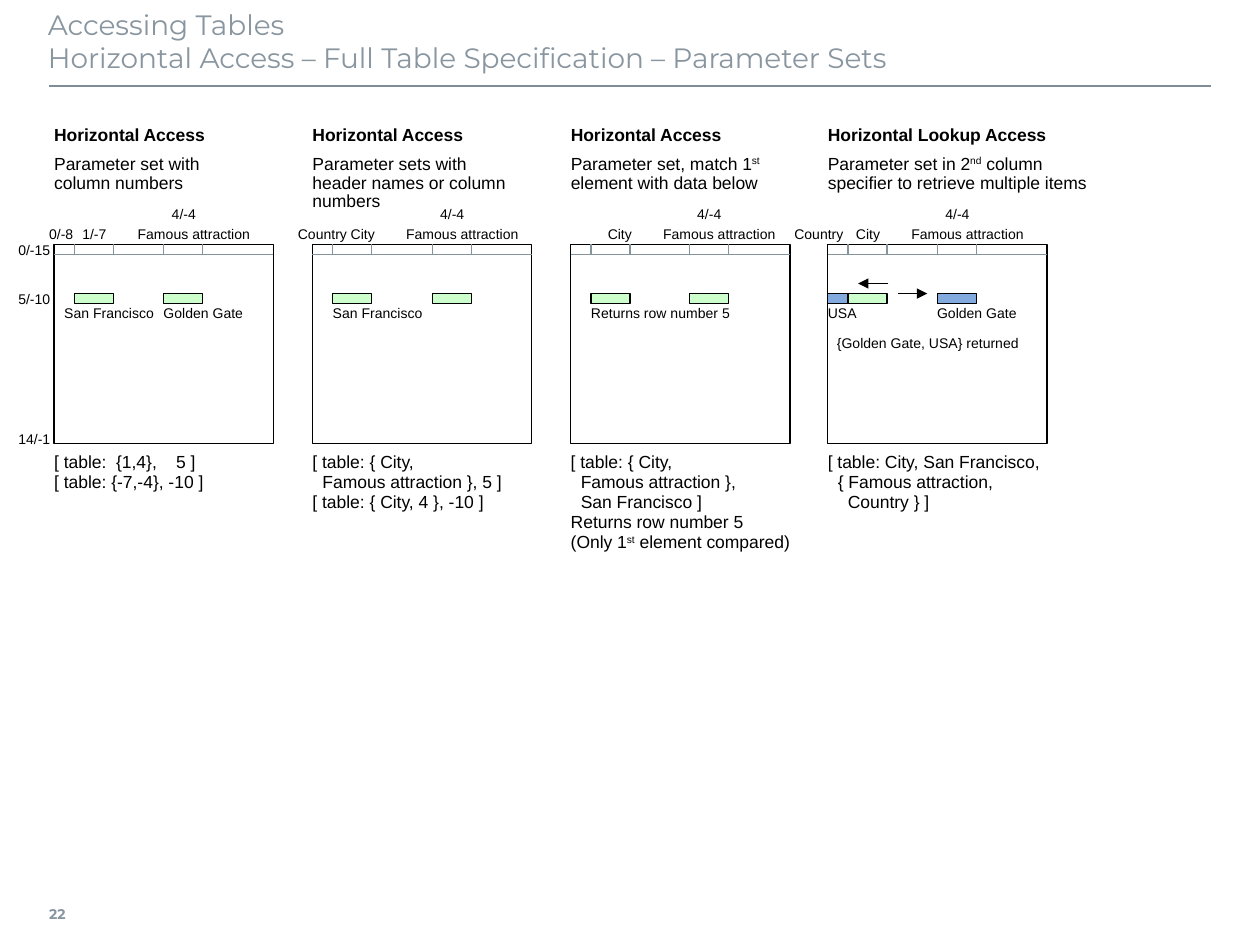
from lxml import etree
from pptx import Presentation
from pptx.dml.color import RGBColor
from pptx.enum.shapes import MSO_CONNECTOR, MSO_SHAPE
from pptx.enum.text import MSO_ANCHOR, PP_ALIGN
from pptx.oxml.ns import qn
from pptx.util import Inches, Pt

RECTANGLE = MSO_SHAPE.RECTANGLE
STRAIGHT = MSO_CONNECTOR.STRAIGHT
TOP, MIDDLE = MSO_ANCHOR.TOP, MSO_ANCHOR.MIDDLE
LEFT, CENTER, RIGHT = PP_ALIGN.LEFT, PP_ALIGN.CENTER, PP_ALIGN.RIGHT

BLACK = RGBColor(0x00, 0x00, 0x00)
TITLE_GRAY = RGBColor(0x89, 0x96, 0xA0)
RULE_GRAY = RGBColor(0x80, 0x8D, 0x97)
GRID_GRAY = RGBColor(0x85, 0x93, 0x9D)
GREEN = RGBColor(0xCC, 0xFF, 0xCC)
BLUE = RGBColor(0x83, 0xAA, 0xDE)

TABLE_TOP, TABLE_WIDTH, TABLE_HEIGHT = 1.94, 1.74, 1.58
HEADER_BOTTOM, ROW_TOP, ROW_HEIGHT = 2.02, 2.33, 0.08
CITY, CELL_WIDTH = 0.16, 0.31
LABEL = 0.16
SPACE_WIDTH = 0.04


class SlideBuilder:
    def __init__(self, slide, font="Arial"):
        self.slide = slide
        self.font = font

    def rectangle(self, left, top, width, height, fill=None, outline=BLACK):
        shape = self.slide.shapes.add_shape(
            RECTANGLE, Inches(left), Inches(top), Inches(width), Inches(height))
        shape.shadow.inherit = False
        if outline is None:
            shape.line.fill.background()
        else:
            shape.line.color.rgb = outline
            shape.line.width = Pt(0.75)
        if fill is None:
            shape.fill.background()
        else:
            shape.fill.solid()
            shape.fill.fore_color.rgb = fill
        return shape

    def text(self, lines, left, top, width, height, size=10, color=BLACK, bold=False,
             font=None, align=LEFT, anchor=TOP, insets=(0, 0, 0, 0), spacing=None, wrap=False):
        box = self.rectangle(left, top, width, height, outline=None)
        frame = box.text_frame
        frame.word_wrap = wrap
        frame.vertical_anchor = anchor
        frame.margin_left, frame.margin_top, frame.margin_right, frame.margin_bottom = (
            Inches(inset) for inset in insets)
        for index, line in enumerate(lines):
            para = frame.add_paragraph() if index else frame.paragraphs[0]
            para.alignment = align
            if spacing:
                para.line_spacing = spacing
            words = line.lstrip()
            indent = len(line) - len(words)
            if indent:
                para._p.get_or_add_pPr().set("marL", str(Inches(indent * SPACE_WIDTH)))
            for part, piece in enumerate(words.split("^")):
                if not piece:
                    continue
                span = para.add_run()
                span.text = piece
                span.font.name = font or self.font
                span.font.size = Pt(size)
                span.font.bold = bold
                span.font.color.rgb = color
                if part % 2:
                    span._r.get_or_add_rPr().set("baseline", "30000")

    def label(self, words, left, top, height=LABEL, align=CENTER):
        self.text([words], left, top, LABEL, height, size=8, align=align,
                  anchor=MIDDLE, insets=(0.04,) * 4)

    def note(self, words, left, top, width, align=LEFT):
        self.text([words], left, top, width, LABEL, size=8, align=align,
                  anchor=MIDDLE, spacing=0.95)

    def line(self, start, end, color=GRID_GRAY, width=0.75, arrow=False):
        connector = self.slide.shapes.add_connector(
            STRAIGHT, *(Inches(value) for value in (*start, *end)))
        connector.line.color.rgb = color
        connector.line.width = Pt(width)
        if arrow:
            etree.SubElement(connector.line._get_or_add_ln(), qn("a:tailEnd"), type="triangle")
        etree.SubElement(connector._element.spPr, qn("a:effectLst"))
        return connector

    def table_panel(self, left, heading, summary, attraction, attraction_fill, code):
        frame = self.rectangle(left, TABLE_TOP, TABLE_WIDTH, TABLE_HEIGHT)
        self.line((left, HEADER_BOTTOM), (left + TABLE_WIDTH, HEADER_BOTTOM))
        for column, fill in ((CITY, GREEN), (attraction, attraction_fill)):
            for edge in (column, column + CELL_WIDTH):
                tick = self.line((left + edge, TABLE_TOP), (left + edge, HEADER_BOTTOM))
                if edge == TABLE_WIDTH / 2:
                    tick.begin_connect(frame, 0)
            self.rectangle(left + column, ROW_TOP, CELL_WIDTH, ROW_HEIGHT, fill)
        self.text([heading], left, 0.99, 1.18, 0.16, bold=True, anchor=MIDDLE)
        self.text(summary, left, 1.23, 1.18, 0.39, spacing=0.9)
        self.text(code, left, 3.59, TABLE_WIDTH, 0.55, spacing=0.95)
        self.label("4/-4", left + attraction + 0.08, 1.62)
        self.label("Famous attraction", left + attraction + 0.16, 1.78)


PANELS = [
    (0.43, "Horizontal Access", ["Parameter set with", "column numbers"], 0.87, GREEN,
     ["[ table:  {1,4},    5 ]", "[ table: {-7,-4}, -10 ]"]),
    (2.48, "Horizontal Access",
     ["Parameter sets with", "header names or column", "numbers"], 0.95, GREEN,
     ["[ table: { City,", "  Famous attraction }, 5 ]", "[ table: { City, 4 }, -10 ]"]),
    (4.53, "Horizontal Access",
     ["Parameter set, match 1^st", "element with data below"], 0.94, GREEN,
     ["[ table: { City,", "  Famous attraction },", "  San Francisco ]",
      "Returns row number 5", "(Only 1^st^ element compared)"]),
    (6.57, "Horizontal Lookup Access",
     ["Parameter set in 2^nd^ column", "specifier to retrieve multiple items"], 0.87, BLUE,
     ["[ table: City, San Francisco,", "  { Famous attraction,", "    Country } ]"]),
]
COLUMN_LABELS = [("1/-7", 0.67), ("Country", 2.48), ("City", 2.8), ("City", 4.84),
                 ("Country", 6.42), ("City", 6.81)]
ROW_LABELS = [("0/-15", TABLE_TOP), ("5/-10", ROW_TOP), ("14/-1", 3.44)]
NOTES = [
    ("San Francisco", 0.51, 2.41, 1.02, LEFT),
    ("Golden Gate", 1.14, 2.41, 0.79, RIGHT),
    ("San Francisco", 2.64, 2.41, 1.02, LEFT),
    ("Returns row number 5", 4.69, 2.41, 1.02, LEFT),
    ("USA", 6.57, 2.41, 0.79, LEFT),
    ("Golden Gate", 7.28, 2.41, 0.79, RIGHT),
    ("{Golden Gate, USA} returned", 6.97, 2.65, 0.79, CENTER),
]


def main():
    deck = Presentation()
    deck.slide_width, deck.slide_height = Inches(10), Inches(7.5)
    page = SlideBuilder(deck.slides.add_slide(deck.slide_layouts[6]))

    page.line((0.39, 0.68), (9.61, 0.68), RULE_GRAY, 1)
    page.text(["22"], 0.39, 7.06, 0.35, 0.39, size=8, color=TITLE_GRAY, bold=True,
              font="Montserrat", anchor=MIDDLE, insets=(0, 0.05, 0.08, 0.05))
    page.text(["Accessing Tables",
               "Horizontal Access – Full Table Specification – Parameter Sets"],
              0.38, 0.01, 9.21, 0.63, size=16, color=TITLE_GRAY, font="Montserrat",
              insets=(0, 0.05, 0.1, 0.05), wrap=True)

    for panel in PANELS:
        page.table_panel(*panel)
    page.rectangle(6.57, ROW_TOP, CITY, ROW_HEIGHT, BLUE)
    page.line((7.13, 2.33), (7.36, 2.33), BLACK, arrow=True)
    page.line((7.05, 2.25), (6.81, 2.25), BLACK, arrow=True)

    page.label("0/-8", 0.35, 1.78, align=LEFT)
    for words, left in COLUMN_LABELS:
        page.label(words, left, 1.78)
    for words, top in ROW_LABELS:
        page.label(words, 0.28, top, ROW_HEIGHT, RIGHT)
    for words, left, top, width, align in NOTES:
        page.note(words, left, top, width, align)

    deck.save("out.pptx")


if __name__ == "__main__":
    main()
